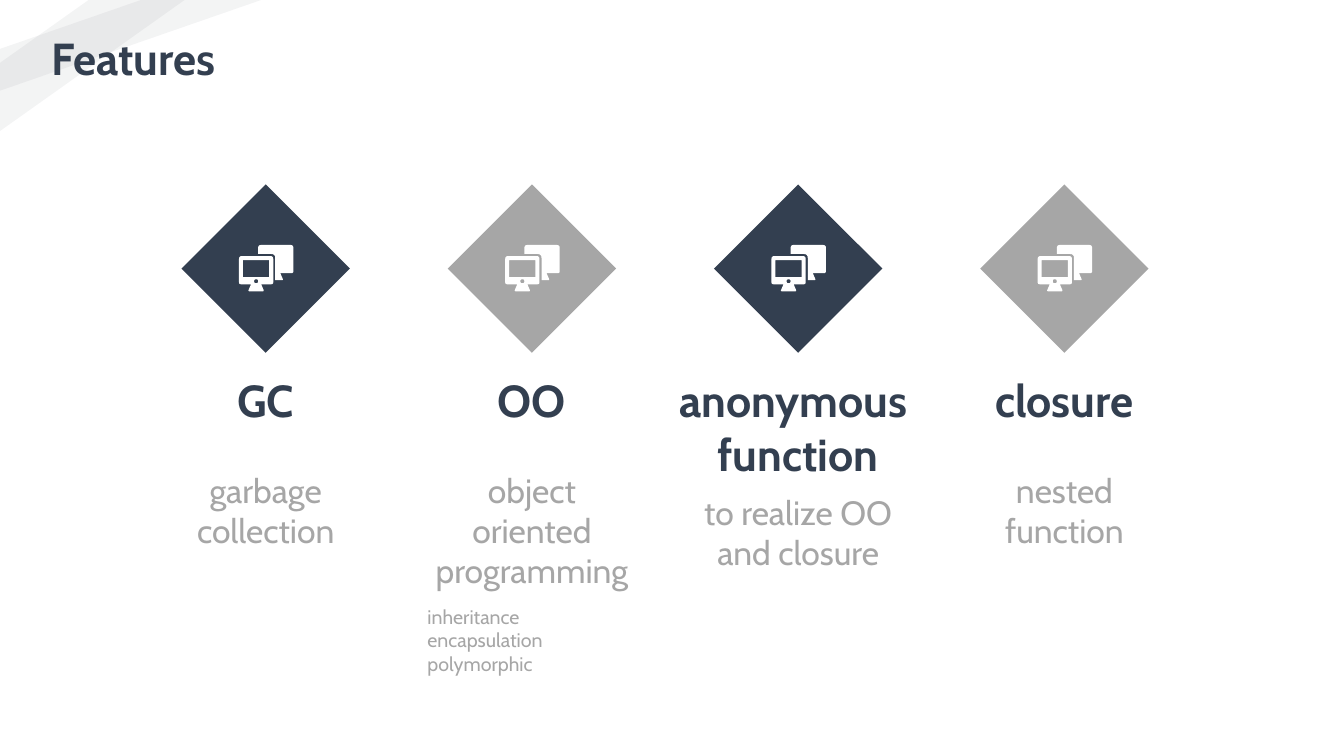
"""Build the Features slide: four diamonds with icons, headings and descriptions."""
from dataclasses import dataclass

from lxml.etree import SubElement
from pptx import Presentation
from pptx.dml.color import RGBColor
from pptx.enum.shapes import MSO_SHAPE as Preset
from pptx.enum.text import MSO_ANCHOR as Anchor, MSO_AUTO_SIZE as AutoSize, PP_ALIGN as Align
from pptx.oxml.ns import qn
from pptx.util import Inches, Pt

COLORS = {"navy": "333F50", "gray": "A6A6A6", "white": "FFFFFF", "stripe": "222A35"}
FONT = "Cabin"
WIDTH, HEIGHT = Inches(13.33), Inches(7.5)
FIRST_CENTER, COLUMN_PITCH = 19.77, 19.81
DIAMOND_TOP, DIAMOND_SIZE, HEADING_TOP = 24.4, 12.53, 48.67
ICON_GRID = 167
CURVE_STEPS = 4

Corner = tuple[float, float, float]
Point = tuple[float, float]


@dataclass(frozen=True)
class Stripe:
    width: float
    height: float
    adjustment: float


@dataclass(frozen=True)
class Line:
    text: str
    size: int
    color: str = "gray"
    bold: bool = False
    align: Align = Align.CENTER
    space_before: int = 10


@dataclass(frozen=True)
class TextBlock:
    lines: list[Line]
    top: float
    width: float
    height: float
    wrap: bool = True


@dataclass(frozen=True)
class Feature:
    color: str
    heading: TextBlock
    description: TextBlock


def heading(texts: list[str], width: float, height: float = 8.53) -> TextBlock:
    lines = [Line(text, 32, "navy", bold=True, space_before=0) for text in texts]
    return TextBlock(lines, HEADING_TOP, width, height, wrap=False)


STRIPES = [Stripe(19.43, 12, 0.54), Stripe(13.73, 17.33, 0.48)]
FEATURES = [
    Feature("navy", heading(["GC"], 6),
            TextBlock([Line("garbage collection", 24)], 61.47, 15.3, 12.13)),
    Feature("gray", heading(["OO"], 6.6),
            TextBlock([Line("object oriented programming", 24),
                       Line("inheritance encapsulation polymorphic", 14, align=Align.LEFT)],
                      61.47, 17.03, 37.33)),
    Feature("navy", heading(["anonymous ", "function"], 20.93, 15.73),
            TextBlock([Line("to realize OO and closure", 24)], 64.4, 19.05, 12.13)),
    Feature("gray", heading(["closure"], 12.83),
            TextBlock([Line("nested function", 24)], 61.47, 15.6, 12.13)),
]

BACK_MONITOR: list[Corner] = [
    (111, 60, 3), (76, 60, 3), (76, 69, 0), (93, 69, 4),
    (93, 95, 0), (101, 95, 1.5), (98, 88, 0), (111, 88, 2)]
FRONT_MONITOR: list[Corner] = [
    (91, 71, 3), (57, 71, 3), (57, 99, 2), (69, 99, 0),
    (66, 106, 1.5), (82, 106, 1.5), (79, 99, 0), (91, 99, 2)]
CAMERA: list[Corner] = [(72, 94, 2), (76, 94, 2), (76, 98, 2), (72, 98, 2)]
SCREEN: list[Corner] = [(61, 75, 0), (87, 75, 0), (87, 92, 0), (61, 92, 0)]
ICON = [[BACK_MONITOR], [FRONT_MONITOR, CAMERA, SCREEN]]


def across(percent: float) -> int:
    return round(WIDTH * percent / 100)


def down(percent: float) -> int:
    return round(HEIGHT * percent / 100)


def paint(shape, color: str) -> None:
    shape.shadow.inherit = False
    shape.fill.solid()
    shape.fill.fore_color.rgb = RGBColor.from_string(COLORS[color])
    shape.line.fill.background()


def write(frame, lines: list[Line]) -> None:
    for index, line in enumerate(lines):
        paragraph = frame.add_paragraph() if index else frame.paragraphs[0]
        paragraph.text = line.text
        paragraph.alignment = line.align
        paragraph.space_before = Pt(line.space_before)
        font = paragraph.font
        font.name, font.size, font.bold = FONT, Pt(line.size), line.bold
        font.color.rgb = RGBColor.from_string(COLORS[line.color])


def toward(start: Corner, end: Corner) -> Point:
    distance = ((end[0] - start[0]) ** 2 + (end[1] - start[1]) ** 2) ** 0.5
    radius = start[2] / distance
    return start[0] + (end[0] - start[0]) * radius, start[1] + (end[1] - start[1]) * radius


def rounded(corners: list[Corner]) -> list[Point]:
    points = []
    for index, corner in enumerate(corners):
        x, y, radius = corner
        if not radius:
            points.append((x, y))
            continue
        enter = toward(corner, corners[index - 1])
        leave = toward(corner, corners[(index + 1) % len(corners)])
        for step in range(CURVE_STEPS + 1):
            t = step / CURVE_STEPS
            a, b, c = (1 - t) ** 2, 2 * t * (1 - t), t ** 2
            points.append((a * enter[0] + b * x + c * leave[0],
                           a * enter[1] + b * y + c * leave[1]))
    return points


def draw_outline(shapes, contours: list[list[Corner]], left: int, top: int, unit: float) -> None:
    builder = None
    for contour in contours:
        points = [(left + x * unit, top + y * unit) for x, y in rounded(contour)]
        if builder is None:
            builder = shapes.build_freeform(*points[0])
        else:
            builder.move_to(*points[0])
        builder.add_line_segments(points[1:], close=True)
    paint(builder.convert_to_shape(), "white")


def draw_stripe(slide, stripe: Stripe) -> None:
    shape = slide.shapes.add_shape(Preset.DIAGONAL_STRIPE, 0, 0,
                                   across(stripe.width), down(stripe.height))
    shape.adjustments[0] = stripe.adjustment
    paint(shape, "stripe")
    color = shape.element.spPr.find(".//" + qn("a:srgbClr"))
    SubElement(color, qn("a:alpha"), val="5000")


def draw_text(slide, block: TextBlock, center: float) -> None:
    box = slide.shapes.add_textbox(across(center - block.width / 2), down(block.top),
                                   across(block.width), down(block.height))
    frame = box.text_frame
    frame.word_wrap = block.wrap
    frame.auto_size = AutoSize.SHAPE_TO_FIT_TEXT
    write(frame, block.lines)


def draw_feature(slide, feature: Feature, center: float) -> None:
    left, top, size = across(center - DIAMOND_SIZE / 2), down(DIAMOND_TOP), across(DIAMOND_SIZE)
    group = slide.shapes.add_group_shape()
    paint(group.shapes.add_shape(Preset.DIAMOND, left, top, size, size), feature.color)
    for contours in ICON:
        draw_outline(group.shapes, contours, left, top, size / ICON_GRID)
    draw_text(slide, feature.heading, center)
    draw_text(slide, feature.description, center)


def draw_title(slide) -> None:
    title = slide.shapes.title
    title.element.getparent().append(title.element)
    title.left, title.top = across(3.08), down(3.33)
    title.width, title.height = across(42.91), down(8.4)
    frame = title.text_frame
    frame.auto_size = AutoSize.NONE
    frame.vertical_anchor = Anchor.TOP
    write(frame, [Line("Features", 32, "navy", bold=True, align=Align.LEFT)])


def main() -> None:
    presentation = Presentation()
    presentation.slide_width, presentation.slide_height = WIDTH, HEIGHT
    slide = presentation.slides.add_slide(presentation.slide_layouts[5])
    for stripe in STRIPES:
        draw_stripe(slide, stripe)
    draw_title(slide)
    for column, feature in enumerate(FEATURES):
        draw_feature(slide, feature, FIRST_CENTER + column * COLUMN_PITCH)
    presentation.save("out.pptx")


if __name__ == "__main__":
    main()
